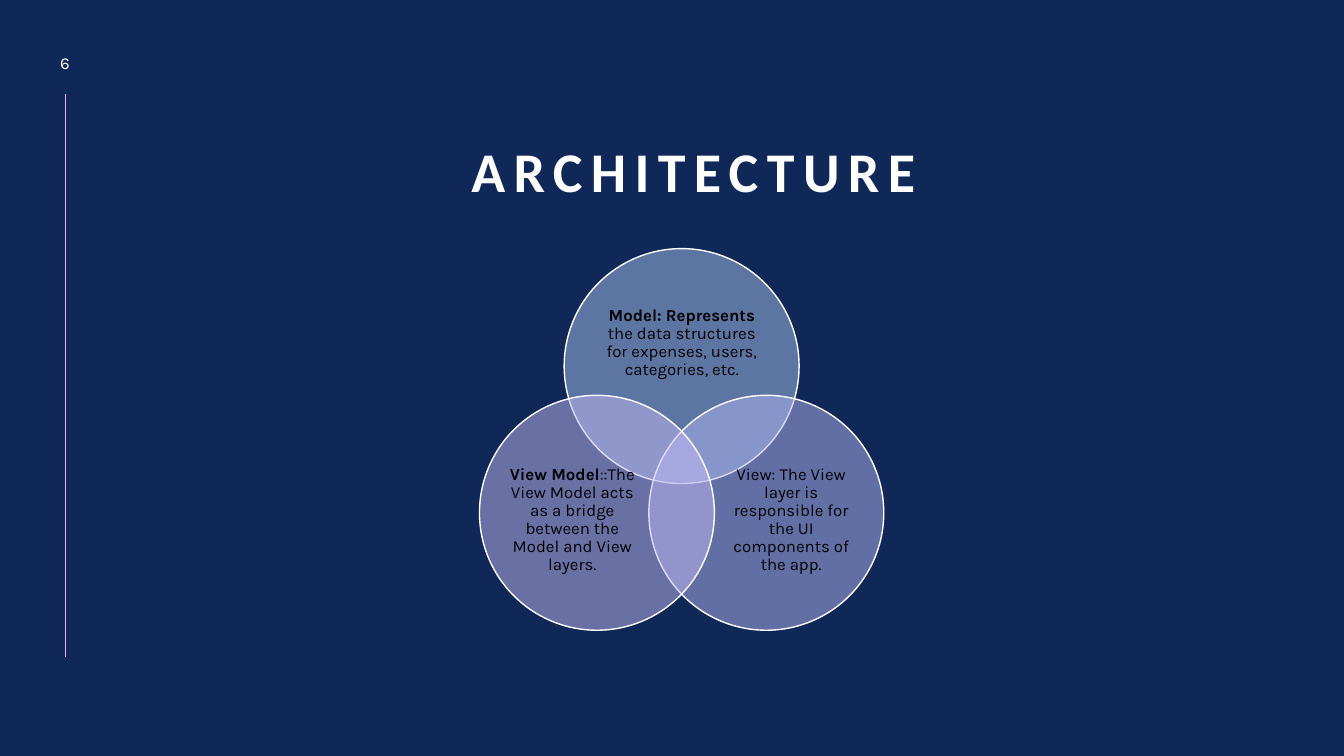
from lxml.etree import SubElement
from pptx import Presentation
from pptx.dml.color import RGBColor
from pptx.enum.shapes import MSO_CONNECTOR, MSO_SHAPE
from pptx.enum.text import MSO_ANCHOR, PP_ALIGN
from pptx.oxml.ns import qn
from pptx.util import Pt


def paint(color_format, value):
    color_format.rgb = RGBColor.from_string(value)


def add_text(box, runs, size, font, color, anchor, inset=None):
    """Add a centred paragraph; runs are (text, bold) pairs."""
    tb = s.shapes.add_textbox(*[Pt(v) for v in box])
    tf = tb.text_frame
    tf.word_wrap = True
    tf.vertical_anchor = anchor
    if inset is not None:
        tf.margin_left = tf.margin_right = tf.margin_top = tf.margin_bottom = Pt(inset)
    p = tf.paragraphs[0]
    p.alignment = PP_ALIGN.CENTER
    for text, bold in runs:
        r = p.add_run()
        r.text = text
        r.font.size = Pt(size)
        r.font.name = font
        r.font.bold = bold
        paint(r.font.color, color)
    return p


prs = Presentation()
prs.slide_width, prs.slide_height = Pt(960), Pt(540)
s = prs.slides.add_slide(prs.slide_layouts[6])
s.background.fill.solid()
paint(s.background.fill.fore_color, "102857")

# Margin line
line = s.shapes.add_connector(MSO_CONNECTOR.STRAIGHT, Pt(46.8), Pt(67), Pt(46.8), Pt(469.4))
line.line.width = Pt(0.5)
paint(line.line.color, "F6A6F4")
SubElement(line.element.spPr, qn("a:effectLst"))

# Title
p = add_text((67, 65.5, 856.8, 84.2), [("ARCHITECTURE", True)],
             40, "Calibri", "FFFFFF", MSO_ANCHOR.BOTTOM)
p.line_spacing = 0.9
p.runs[0].font.element.set("spc", "600") if hasattr(p.runs[0].font, "element") else \
    p.runs[0]._r.get_or_add_rPr().set("spc", "600")

# Venn diagram: circle position, fill, text box, runs
diameter = 167.8
venn = [
    (403, 177.6, "ABC3F0", (425.5, 207.4, 123.1, 75.6),
     [("Model: Represents", True),
      (" the data structures for expenses, users, categories, etc.", False)]),
    (463.5, 282.4, "B2B7F1", (514.8, 325.4, 100.8, 92.2),
     [("View: The View layer is responsible for the UI components of the app.", False)]),
    (342.5, 282.4, "C3B9F2", (358.4, 325.4, 100.8, 92.2),
     [("View Model", True),
      ("::The View Model acts as a bridge between the Model and View layers.", False)]),
]
for left, top, color, box, runs in venn:
    sp = s.shapes.add_shape(MSO_SHAPE.OVAL, Pt(left), Pt(top), Pt(diameter), Pt(diameter))
    sp.shadow.inherit = False
    sp.fill.solid()
    paint(sp.fill.fore_color, color)
    fill_color = sp.element.spPr.find(qn("a:solidFill"))[0]
    SubElement(fill_color, qn("a:alpha"), val="50000")
    sp.line.width = Pt(1)
    paint(sp.line.color, "FFFFFF")
    p = add_text(box, runs, 12, "Karla", "000000", MSO_ANCHOR.MIDDLE, 0)
    p.line_spacing = 0.9
    p.space_after = Pt(4.2)

# Slide number
p = add_text((25.9, 32.4, 41, 24.5), [("6", False)], 12, "Karla", "FFFFFF", MSO_ANCHOR.MIDDLE)
p.space_after = Pt(6)

prs.save("out.pptx")
